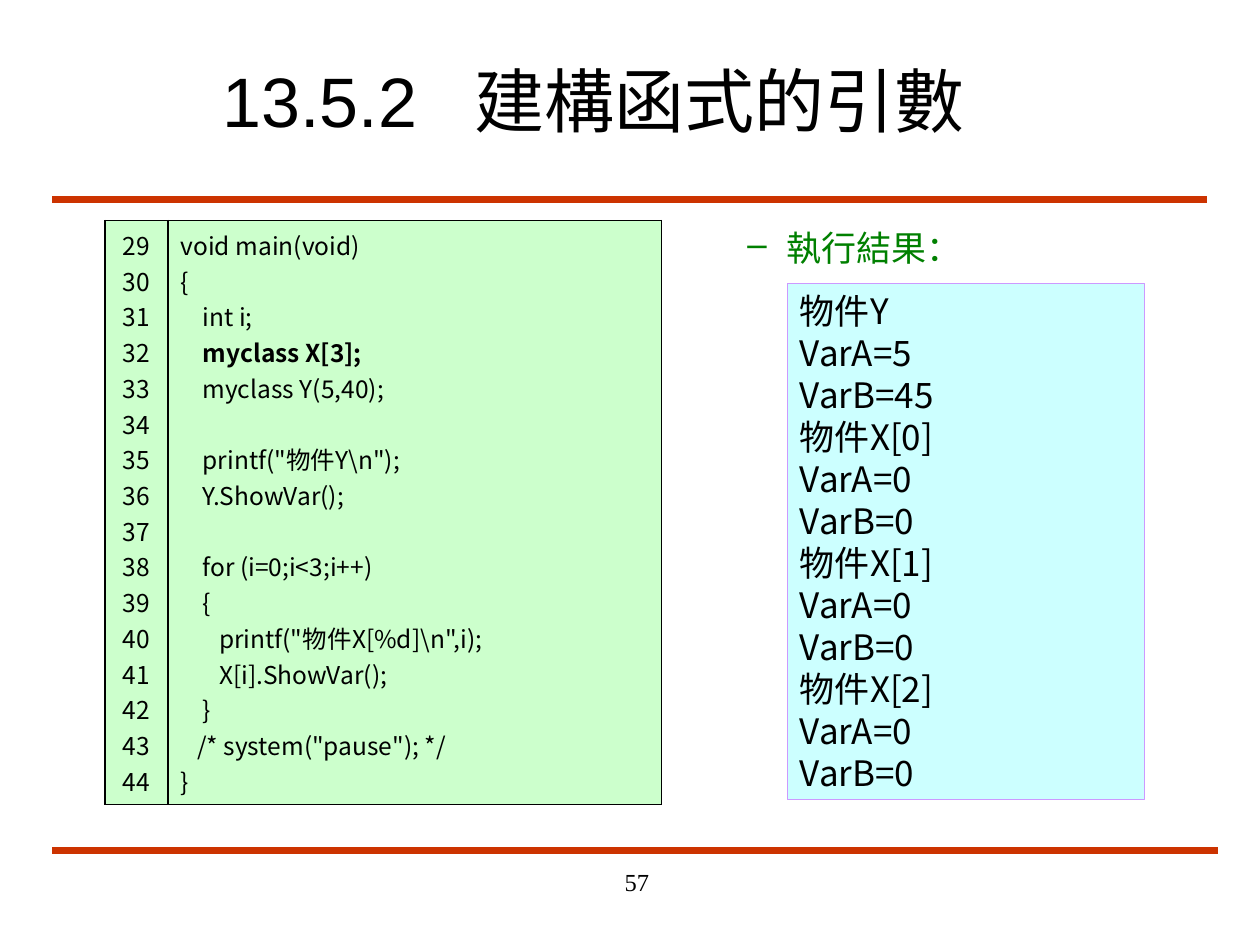
from dataclasses import dataclass

from lxml.etree import SubElement as Sub
from pptx import Presentation
from pptx.dml.color import RGBColor as RGB
from pptx.enum.shapes import MSO_CONNECTOR as Link, MSO_SHAPE as Shape
from pptx.enum.text import MSO_ANCHOR as Anchor, MSO_AUTO_SIZE as Fit, PP_ALIGN as Align
from pptx.oxml import parse_xml
from pptx.oxml.ns import nsdecls, qn
from pptx.util import Pt


@dataclass(frozen=True)
class Theme:
    black: str = "000000"
    red: str = "CC3300"
    green: str = "008000"
    mint: str = "CCFFCC"
    cyan: str = "CCFFFF"
    lilac: str = "CC99FF"
    head: str = "Arial"
    code: str = "Noto Sans CJK TC"
    page: str = "Times New Roman"
    big: int = 40
    mid: int = 20
    small: int = 14


T = Theme()

CODE = r'''void main(void)
{
    int i;
    myclass X[3];
    myclass Y(5,40);
  
    printf("物件Y\n");
    Y.ShowVar();
  
    for (i=0;i<3;i++)
    {
       printf("物件X[%d]\n",i);
       X[i].ShowVar();
    }
   /* system("pause"); */
}'''
FIRST = 29
KEY = "myclass X[3];"
RESULT = [("Y", 5, 45), ("X[0]", 0, 0), ("X[1]", 0, 0), ("X[2]", 0, 0)]


def style(para, face, size, color=T.black):
    """Format the runs of a paragraph, and size its line breaks alike."""
    for run in para.runs:
        font = run.font
        font.name, font.size = face, Pt(size)
        font.color.rgb = RGB.from_string(color)
        Sub(run._r.get_or_add_rPr(), qn("a:ea"), typeface=T.code)
    for br in para._p.findall(qn("a:br")):
        rpr = Sub(br, qn("a:rPr"), sz=str(size * 100))
        for tag in ("a:latin", "a:ea"):
            Sub(rpr, qn(tag), typeface=face)


def label(slide, box, text):
    frame = slide.shapes.add_textbox(*map(Pt, box)).text_frame
    frame.word_wrap = True
    frame.text = text
    return frame.paragraphs[0]


def rule(slide, x, y, w):
    line = slide.shapes.add_connector(Link.STRAIGHT, Pt(x), Pt(y), Pt(x + w), Pt(y))
    line.line.color.rgb = RGB.from_string(T.red)
    line.line.width = Pt(4.5)
    Sub(line._element.spPr, qn("a:effectLst"))


def title(slide, box, text):
    shape = slide.shapes.title
    shape.left, shape.top, shape.width, shape.height = map(Pt, box)
    frame = shape.text_frame
    frame.text = text
    frame.auto_size = Fit.NONE
    frame.vertical_anchor = Anchor.MIDDLE
    para = frame.paragraphs[0]
    para.alignment = Align.LEFT
    # Tab stops at every inch
    tabs = Sub(para._p.get_or_add_pPr(), qn("a:tabLst"))
    for inch in range(1, 8):
        Sub(tabs, qn("a:tab"), pos=str(Pt(72 * inch)), algn="l")
    style(para, T.head, T.big)


def border(cell):
    props = cell._tc.get_or_add_tcPr()
    for i, side in enumerate("LRTB"):
        props.insert(i, parse_xml(
            f'<a:ln{side} {nsdecls("a")} w="{Pt(1)}"><a:solidFill>'
            f'<a:srgbClr val="{T.black}"/></a:solidFill></a:ln{side}>'))


def listing(slide, box, gutter):
    """Numbered source code in a table of one row."""
    x, y, w, h = box
    table = slide.shapes.add_table(1, 2, Pt(x), Pt(y), Pt(w), Pt(h)).table
    table.first_row = table.horz_banding = False
    count = len(CODE.split("\n"))
    nums = "\n".join(str(FIRST + i) for i in range(count))
    parts = [(gutter, nums, Align.CENTER), (w - gutter, CODE, Align.LEFT)]
    for i, (wide, text, align) in enumerate(parts):
        table.columns[i].width = Pt(wide)
        cell = table.cell(0, i)
        cell.fill.solid()
        cell.fill.fore_color.rgb = RGB.from_string(T.mint)
        border(cell)
        cell.vertical_anchor = Anchor.MIDDLE
        para = cell.text_frame.paragraphs[0]
        para.text = text
        para.alignment = align
        style(para, T.code, T.small)
        for run in para.runs:
            run.font.bold = run.text.strip() == KEY


def result(slide, box, indent, drop):
    """Dashed heading with the program output below it."""
    x, y, w, h = box
    para = label(slide, (x, y, w, drop), "執行結果：")
    props = para._p.get_or_add_pPr()
    props.set("marL", str(Pt(indent)))
    props.set("indent", str(Pt(-22.5)))
    Sub(props, qn("a:buChar"), char="–")
    style(para, T.head, T.mid, T.green)

    # Output panel
    panel = slide.shapes.add_shape(
        Shape.RECTANGLE, Pt(x + 66), Pt(y + drop), Pt(204), Pt(h - drop))
    panel.shadow.inherit = False
    panel.fill.solid()
    panel.fill.fore_color.rgb = RGB.from_string(T.cyan)
    panel.line.color.rgb = RGB.from_string(T.lilac)
    panel.line.width = Pt(0.75)
    frame = panel.text_frame
    frame.vertical_anchor = Anchor.TOP
    frame.text = "\n".join(f"物件{n}\nVarA={a}\nVarB={b}" for n, a, b in RESULT)
    for para in frame.paragraphs:
        para.alignment = Align.LEFT
        para.line_spacing = Pt(24)
        style(para, T.code, T.mid)


def footer(slide, box, text):
    para = label(slide, box, text)
    para.alignment = Align.RIGHT
    style(para, T.page, T.small)


def main():
    deck = Presentation()
    deck.slide_width, deck.slide_height = Pt(720), Pt(540)
    slide = deck.slides.add_slide(deck.slide_layouts[5])
    rule(slide, 30, 114, 660)
    rule(slide, 30, 486, 666)
    title(slide, (120, 24, 546, 66), "13.5.2\t建構函式的引數")
    listing(slide, (60, 126, 318, 276), 36)
    result(slide, (384, 126, 288, 331), 58.5, 36)
    footer(slide, (228, 492, 150, 36), "57")
    deck.save("out.pptx")


if __name__ == "__main__":
    main()
